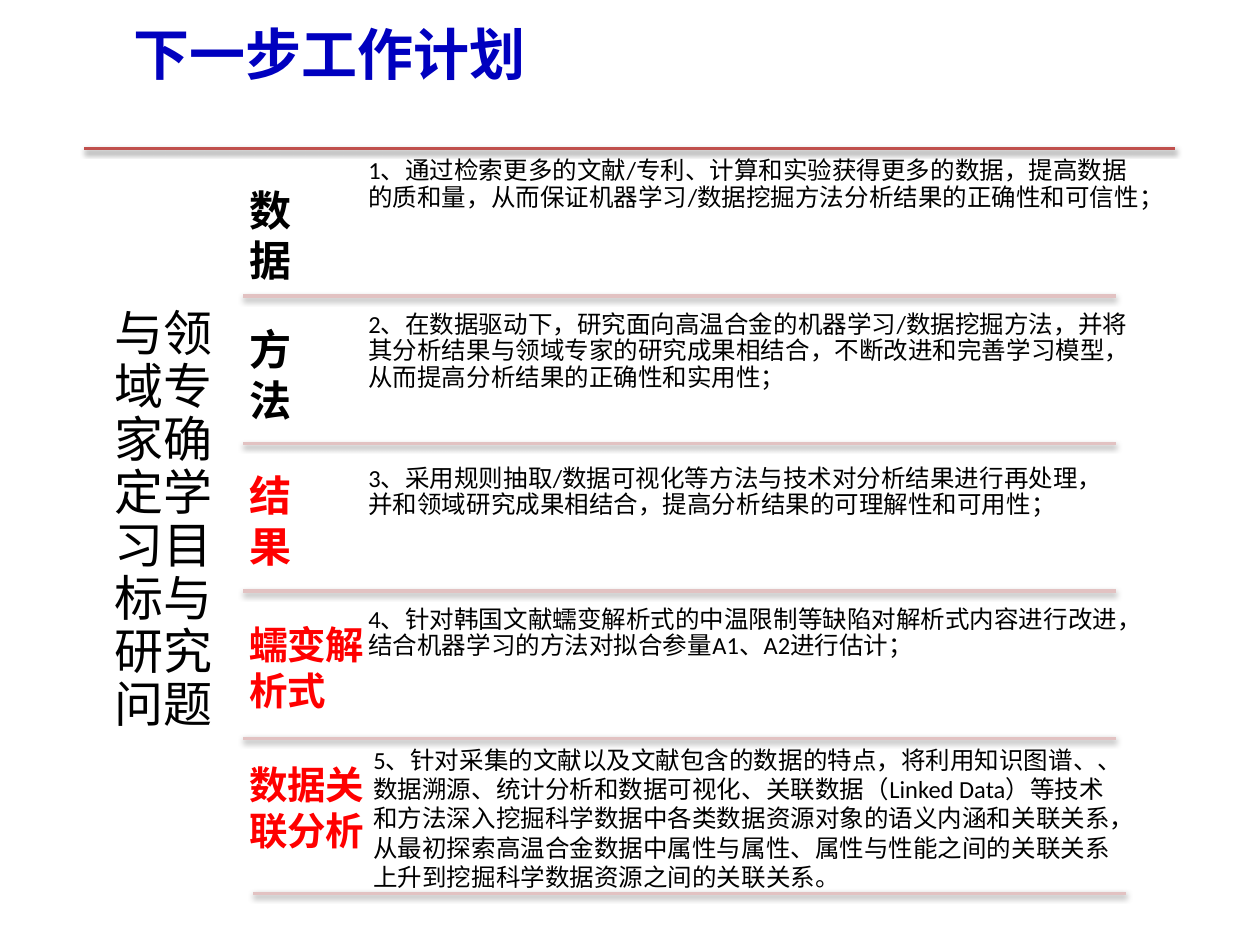
import pptx
import pptx.util
import pptx.oxml
import pptx.oxml.ns
import pptx.dml.color
import pptx.enum.shapes
import pptx.enum.text
from lxml import etree

Pt = pptx.util.Pt
ANCHOR = pptx.enum.text.MSO_ANCHOR
ALIGN = pptx.enum.text.PP_ALIGN

COLORS = {
    "title": "0000BF",
    "rule": "C0504D",
    "divider": "E2C2C2",
    "text": "000000",
    "highlight": "FF0000",
}

GOAL = "与领域专家确定学习目标与研究问题"
PLANS = [
    dict(label="数\n据", label_size=24, label_color="text", label_top=16.6, label_width=39,
         detail="1、通过检索更多的文献/专利、计算和实验获得更多的数据，提高数据的质和量，"
                "从而保证机器学习/数据挖掘方法分析结果的正确性和可信性；",
         detail_top=1.4, detail_width=454.3),
    dict(label="方法", label_size=24, label_color="text", label_top=12.2, label_width=50.4,
         detail="2、在数据驱动下，研究面向高温合金的机器学习/数据挖掘方法，并将其分析结果与领域专家的"
                "研究成果相结合，不断改进和完善学习模型，从而提高分析结果的正确性和实用性；",
         detail_top=5, detail_width=446.4),
    dict(label="结果", label_size=24, label_color="highlight", label_top=11.5, label_width=50.4,
         detail="3、采用规则抽取/数据可视化等方法与技术对分析结果进行再处理，并和领域研究成果相结合，"
                "提高分析结果的可理解性和可用性；",
         detail_top=8.6, detail_width=442),
    dict(label="蠕变解析式", label_size=22, label_color="highlight", label_top=13.7, label_width=90.7,
         detail="4、针对韩国文献蠕变解析式的中温限制等缺陷对解析式内容进行改进，"
                "结合机器学习的方法对拟合参量A1、A2进行估计；",
         detail_top=5, detail_width=440.6),
    dict(label="数据关联分析", label_size=22, label_color="highlight", label_top=9.4, label_width=90.7,
         detail="5、针对采集的文献以及文献包含的数据的特点，将利用知识图谱、、数据溯源、统计分析和"
                "数据可视化、关联数据（Linked Data）等技术和方法深入挖掘科学数据中各类数据资源对象的"
                "语义内涵和关联关系，从最初探索高温合金数据中属性与属性、属性与性能之间的关联关系"
                "上升到挖掘科学数据资源之间的关联关系。",
         detail_top=0, detail_width=436.3, detail_height=92.2, detail_inset=(7.2, 3.6),
         detail_spacing=1, divider_shift=5.8, divider_top=88.6),
]


def rgb(name):
    return pptx.dml.color.RGBColor.from_string(COLORS[name])


def add_text(slide, box, text, size, color="text", bold=False, font="Calibri",
             inset=(7.2, 3.6), anchor=ANCHOR.TOP, align=ALIGN.LEFT, spacing=1):
    frame = slide.shapes.add_textbox(*map(Pt, box)).text_frame
    frame.word_wrap = True
    frame.vertical_anchor = anchor
    frame.margin_left = frame.margin_right = Pt(inset[0])
    frame.margin_top = frame.margin_bottom = Pt(inset[1])
    frame.text = text
    for paragraph in frame.paragraphs:
        paragraph.alignment = align
        paragraph.line_spacing = spacing
        for run in paragraph.runs:
            run.font.name = font
            run.font.size = Pt(size)
            run.font.bold = bold
            run.font.color.rgb = rgb(color)
            east_asian = etree.SubElement(run.font._element, pptx.oxml.ns.qn("a:ea"))
            east_asian.set("typeface", font)


def add_rule(slide, left, top, width, color):
    rule = slide.shapes.add_connector(
        pptx.enum.shapes.MSO_CONNECTOR.STRAIGHT, Pt(left), Pt(top), Pt(left + width), Pt(top))
    rule.line.color.rgb = rgb(color)
    rule.line.width = Pt(2)
    rule._element.spPr.append(pptx.oxml.parse_xml(
        f'<a:effectLst {pptx.oxml.ns.nsdecls("a")}>'
        '<a:outerShdw blurRad="40000" dist="20000" dir="5400000" rotWithShape="0">'
        '<a:srgbClr val="000000"><a:alpha val="38000"/></a:srgbClr>'
        '</a:outerShdw></a:effectLst>'))


def add_title(slide, box):
    add_text(slide, box, "下一步工作计划", 32, "title", bold=True,
             font="Noto Sans CJK SC", anchor=ANCHOR.MIDDLE)


def add_goal(slide, box):
    add_text(slide, box, GOAL, 28, inset=(8.6, 8.6), anchor=ANCHOR.MIDDLE,
             align=ALIGN.CENTER, spacing=0.9)


def add_plan(slide, box, plan):
    left, top, width, height = box
    add_rule(slide, left + plan.get("divider_shift", 0),
             top + plan.get("divider_top", height), width, "divider")
    add_text(slide, (left - 3.6, top + plan["label_top"], plan["label_width"], 65),
             plan["label"], plan["label_size"], plan["label_color"], bold=True)
    add_text(slide, (left + 67.4, top + plan["detail_top"], plan["detail_width"],
                     plan.get("detail_height", 80)),
             plan["detail"], 14, inset=plan.get("detail_inset", (4.2, 4.2)),
             spacing=plan.get("detail_spacing", 0.9))


def add_plans(slide, box):
    left, top, width, height = box
    goal_width, divider_width, row_height = 90.7, 499, 84.24
    add_rule(slide, left, top, width, "rule")
    add_goal(slide, (left, top, goal_width, height))
    for index, plan in enumerate(PLANS):
        add_plan(slide, (left + goal_width, top + index * row_height, divider_width, row_height), plan)


def main():
    presentation = pptx.Presentation()
    presentation.slide_width, presentation.slide_height = Pt(720), Pt(540)
    slide = presentation.slides.add_slide(presentation.slide_layouts[6])
    add_title(slide, (69.1, -0.7, 648, 62.6))
    add_plans(slide, (48.2, 85, 623.5, 425.5))
    presentation.save("out.pptx")


if __name__ == "__main__":
    main()
